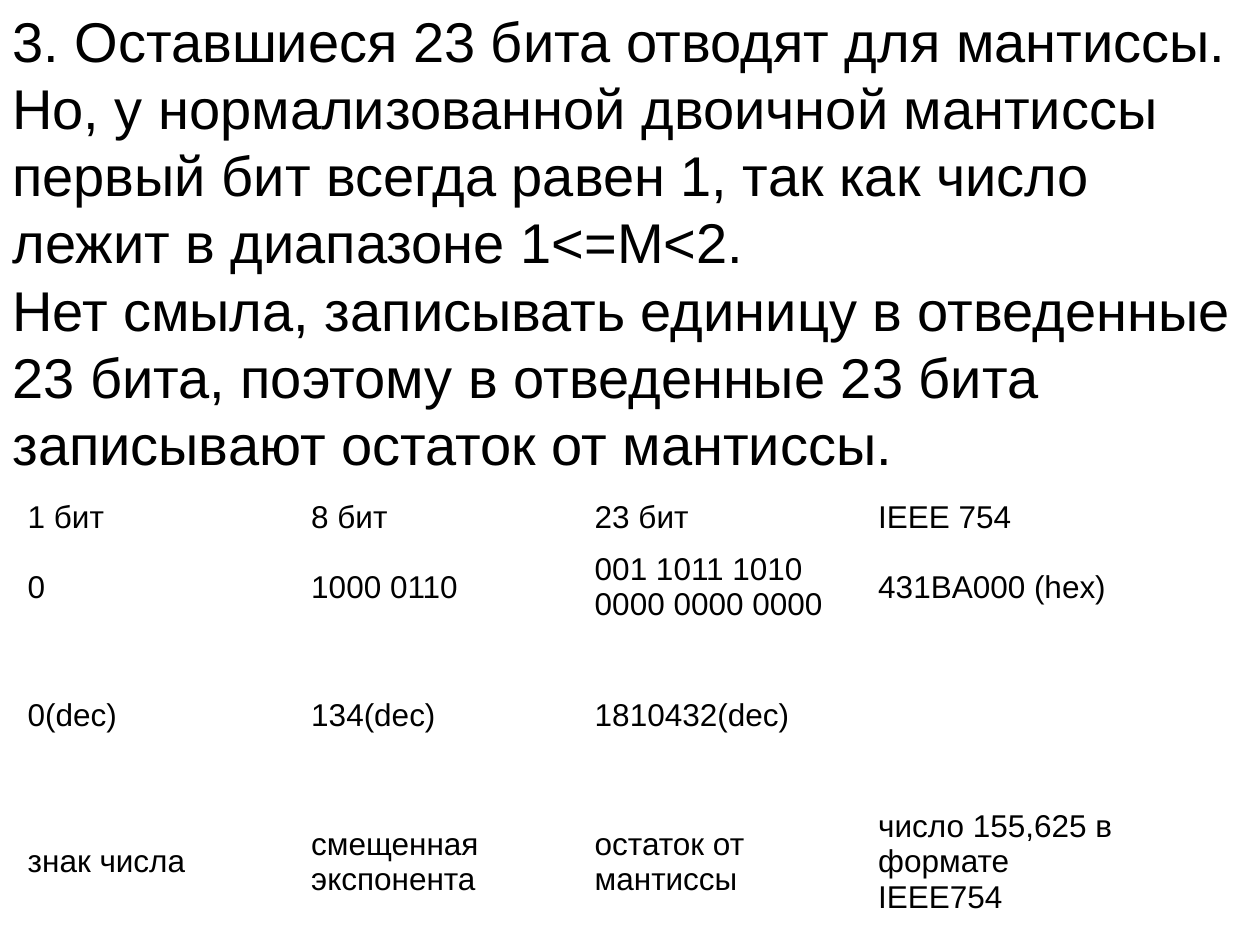
from dataclasses import dataclass
from pptx import Presentation
from pptx.dml.color import RGBColor
from pptx.enum.text import MSO_ANCHOR
from pptx.util import Pt

SCALE = 9144
BODY = (
    "3. Оставшиеся 23 бита отводят для мантиссы.\v"
    "Но, у нормализованной двоичной мантиссы первый бит всегда равен 1, "
    "так как число лежит в диапазоне 1<=M<2.\v"
    "Нет смыла, записывать единицу в отведенные 23 бита, "
    "поэтому в отведенные 23 бита записывают остаток от мантиссы."
)
ROWS = [
    (40, ["1 бит", "8 бит", "23 бит", "IEEE 754"]),
    (70, ["0", "1000 0110", "001 1011 1010 0000 0000 0000", "431BA000 (hex)"]),
    (133, ["0(dec)", "134(dec)", "1810432(dec)", ""]),
    (100, ["знак числа", "смещенная экспонента", "остаток от мантиссы",
           "число 155,625 в формате IEEE754"]),
]


@dataclass(frozen=True)
class Theme:
    """Hold the type and colours of the slide."""
    face: str = "Arial"
    ink: RGBColor = RGBColor(0, 0, 0)
    body: Pt = Pt(32)
    lead: Pt = Pt(38.4)
    cell: Pt = Pt(18)


THEME = Theme()


def px(num):
    """Turn px into EMU."""
    return num * SCALE


def style(para, size):
    """Set the font of a paragraph."""
    para.font.name = THEME.face
    para.font.size = size
    para.font.color.rgb = THEME.ink


def add_body(slide, box):
    """Place the explanation in the box."""
    frame = slide.shapes.add_textbox(*map(px, box)).text_frame
    frame.word_wrap = True
    para = frame.paragraphs[0]
    para.text = BODY
    para.line_spacing = THEME.lead
    style(para, THEME.body)


def add_bits(slide, box):
    """Place the table of bit fields in the box."""
    shape = slide.shapes.add_table(len(ROWS), len(ROWS[0][1]), *map(px, box))
    table = shape.table
    table.first_row = table.horz_banding = False
    for row, (high, texts) in zip(table.rows, ROWS):
        row.height = px(high)
        for cell, text in zip(row.cells, texts):
            cell.fill.background()
            cell.vertical_anchor = MSO_ANCHOR.MIDDLE
            cell.text = text
            style(cell.text_frame.paragraphs[0], THEME.cell)


def main():
    """Build and save the slide."""
    deck = Presentation()
    deck.slide_width, deck.slide_height = px(1000), px(750)
    slide = deck.slides.add_slide(deck.slide_layouts[6])
    add_body(slide, (0, 0, 1000, 750))
    add_bits(slide, (12, 391, 900, sum(high for high, _ in ROWS)))
    deck.save("out.pptx")


if __name__ == "__main__":
    main()
